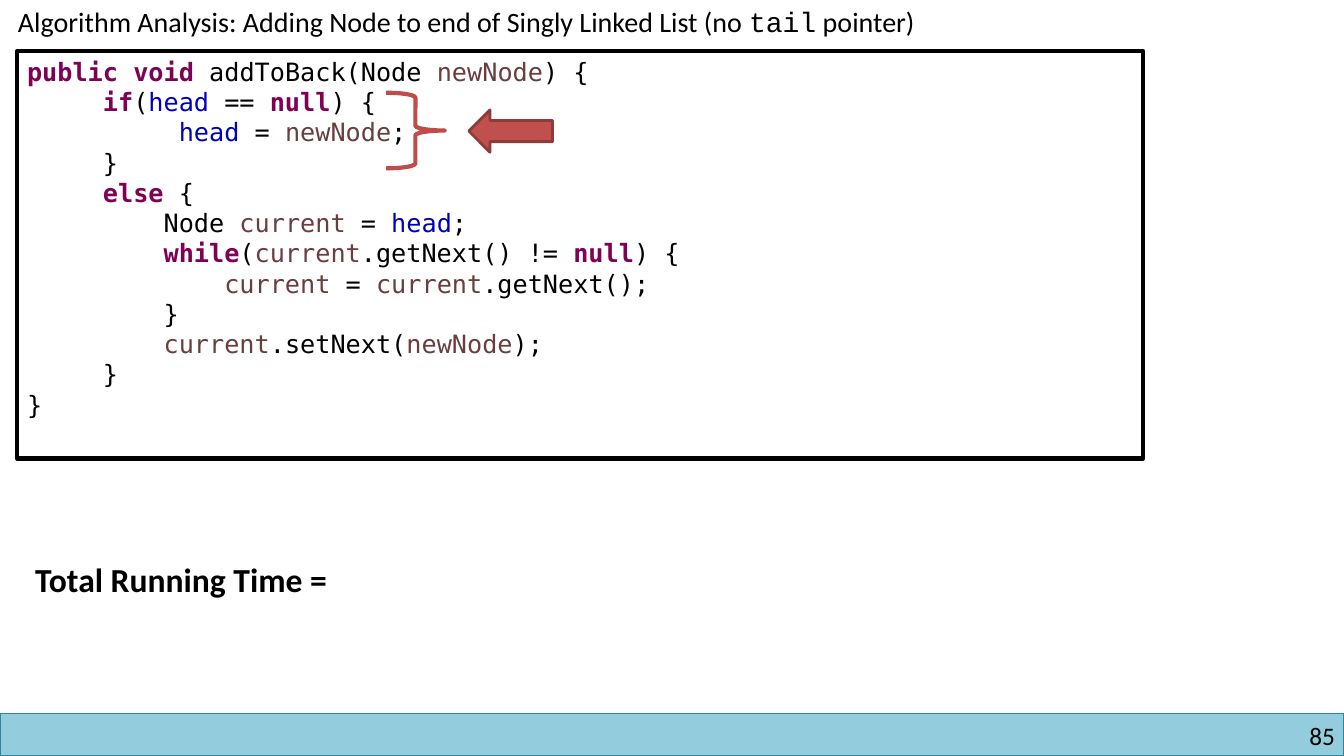
from pptx import Presentation
from pptx.dml.color import RGBColor
from pptx.enum.shapes import MSO_SHAPE
from pptx.enum.text import MSO_ANCHOR, PP_ALIGN
from pptx.util import Inches, Pt

RECT, ARROW, BRACE = MSO_SHAPE.RECTANGLE, MSO_SHAPE.LEFT_ARROW, MSO_SHAPE.RIGHT_BRACE
TOP, LEFT, RIGHT = MSO_ANCHOR.TOP, PP_ALIGN.LEFT, PP_ALIGN.RIGHT
BLACK = RGBColor(0x00, 0x00, 0x00)
PURPLE = RGBColor(0x7F, 0x00, 0x55)
BROWN = RGBColor(0x6A, 0x3E, 0x3E)
BLUE = RGBColor(0x00, 0x00, 0xC0)
SKY = RGBColor(0x93, 0xCD, 0xDD)
TEAL = RGBColor(0x31, 0x85, 0x9C)
RED = RGBColor(0xC0, 0x50, 0x4D)
MAROON = RGBColor(0x8E, 0x3B, 0x39)
ROSE = RGBColor(0xBF, 0x4C, 0x48)

KEYWORDS = ("public void", "if", "else", "while", "null")
COLORS = {"head": BLUE, "newNode": BROWN, "current": BROWN}
COLORS.update(dict.fromkeys(KEYWORDS, PURPLE))

# A bar separates differently coloured parts of a line.
CODE = """\
public void |addToBack(Node |newNode|) {
     if|(|head| == |null|) {
          head| = |newNode|;
     }
     else| {
         Node |current| = |head|;
         while|(|current|.getNext() != |null|) {
             current| = |current|.getNext();
         }
         current|.setNext(|newNode|);
     }
}"""


class Canvas:
    body = "Calibri"
    mono = "Courier New"
    code_font = "DejaVu Sans Mono"

    def __init__(self, slide):
        self.shapes = slide.shapes

    def shape(self, kind, box, line, width, fill=None):
        item = self.shapes.add_shape(kind, *map(Inches, box))
        item.shadow.inherit = False
        if fill is None:
            item.fill.background()
        else:
            item.fill.solid()
            item.fill.fore_color.rgb = fill
        item.line.color.rgb = line
        item.line.width = Pt(width)
        return item

    def text(self, box, parts, size, bold=False, align=LEFT, wrap=False, inset=True):
        """Add one line of text; parts are (words, font name) pairs."""
        frame = self.shapes.add_textbox(*map(Inches, box)).text_frame
        frame.word_wrap = wrap
        if not inset:
            frame.margin_left = frame.margin_right = 0
            frame.margin_top = frame.margin_bottom = 0
        para = frame.paragraphs[0]
        para.alignment = align
        font = para.font
        font.size, font.bold, font.name = Pt(size), bold, self.body
        font.color.rgb = BLACK
        for words, name in parts:
            run = para.add_run()
            run.text = words
            run.font.name = name

    def code(self, box, source, size, pitch):
        frame = self.shape(RECT, box, BLACK, 3).text_frame
        frame.word_wrap = True
        frame.vertical_anchor = TOP
        for row, line in enumerate(source.splitlines()):
            para = frame.add_paragraph() if row else frame.paragraphs[0]
            para.alignment = LEFT
            para.line_spacing = Pt(pitch)
            para.font.size, para.font.name = Pt(size), self.code_font
            for token in line.split("|"):
                run = para.add_run()
                run.text = token
                word = token.strip()
                run.font.color.rgb = COLORS.get(word, BLACK)
                run.font.bold = word in KEYWORDS


def main():
    deck = Presentation()
    deck.slide_width, deck.slide_height = Inches(13.33), Inches(7.5)
    canvas = Canvas(deck.slides.add_slide(deck.slide_layouts[6]))
    body = canvas.body

    canvas.shape(RECT, (0, 7.08, 13.33, 0.42), TEAL, 1, SKY)
    canvas.text((10.17, 7.15, 3.07, 0.3), [("85", body)], 18,
                align=RIGHT, wrap=True, inset=False)
    title = [
        ("Algorithm Analysis: Adding Node to end of Singly Linked List (no ", body),
        ("tail", canvas.mono),
        (" pointer)", body),
    ]
    canvas.text((0.08, 0, 9.98, 0.44), title, 20)
    canvas.code((0.17, 0.51, 11.17, 4.04), CODE, 18, 21.6)
    canvas.text((0.25, 5.5, 3.72, 0.5), [("Total Running Time =", body)], 24, bold=True)
    canvas.shape(ARROW, (4.65, 1.09, 0.83, 0.42), MAROON, 2, RED)
    canvas.shape(BRACE, (3.83, 0.92, 0.58, 0.75), ROSE, 3)
    deck.save("out.pptx")


if __name__ == "__main__":
    main()
